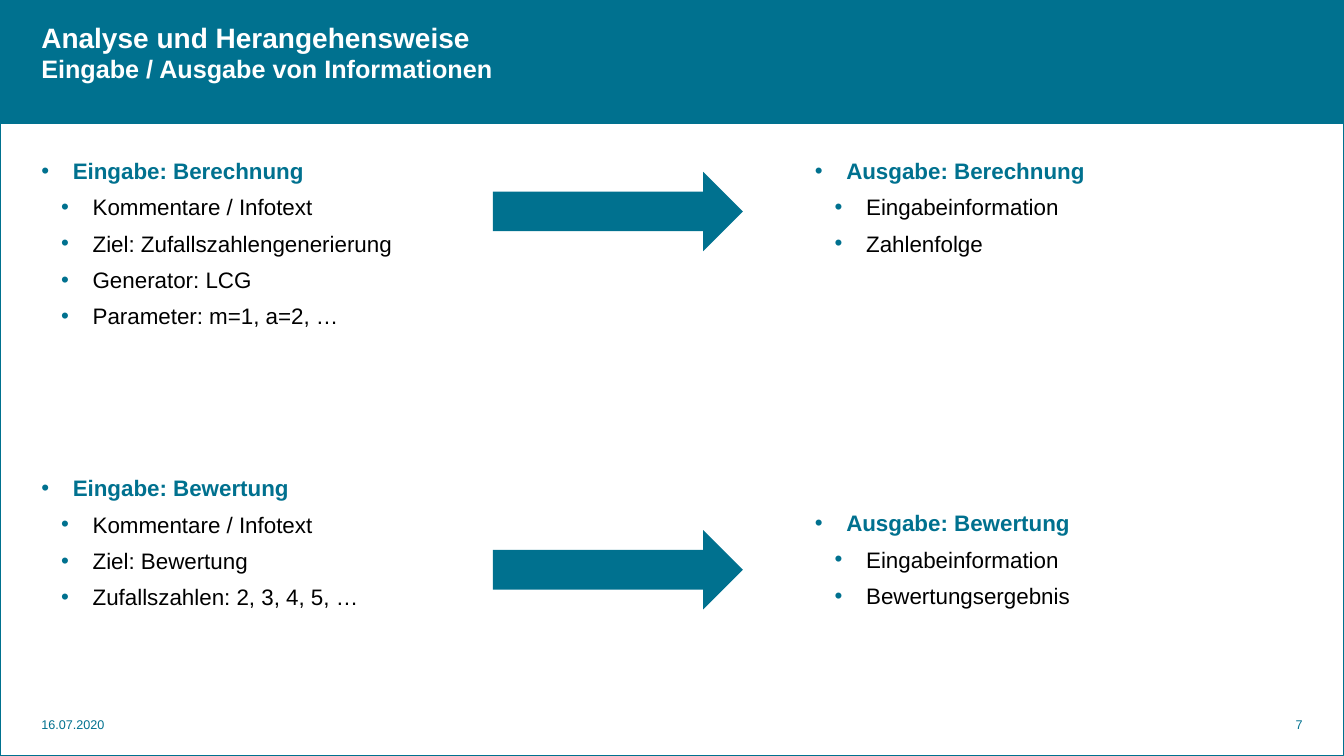
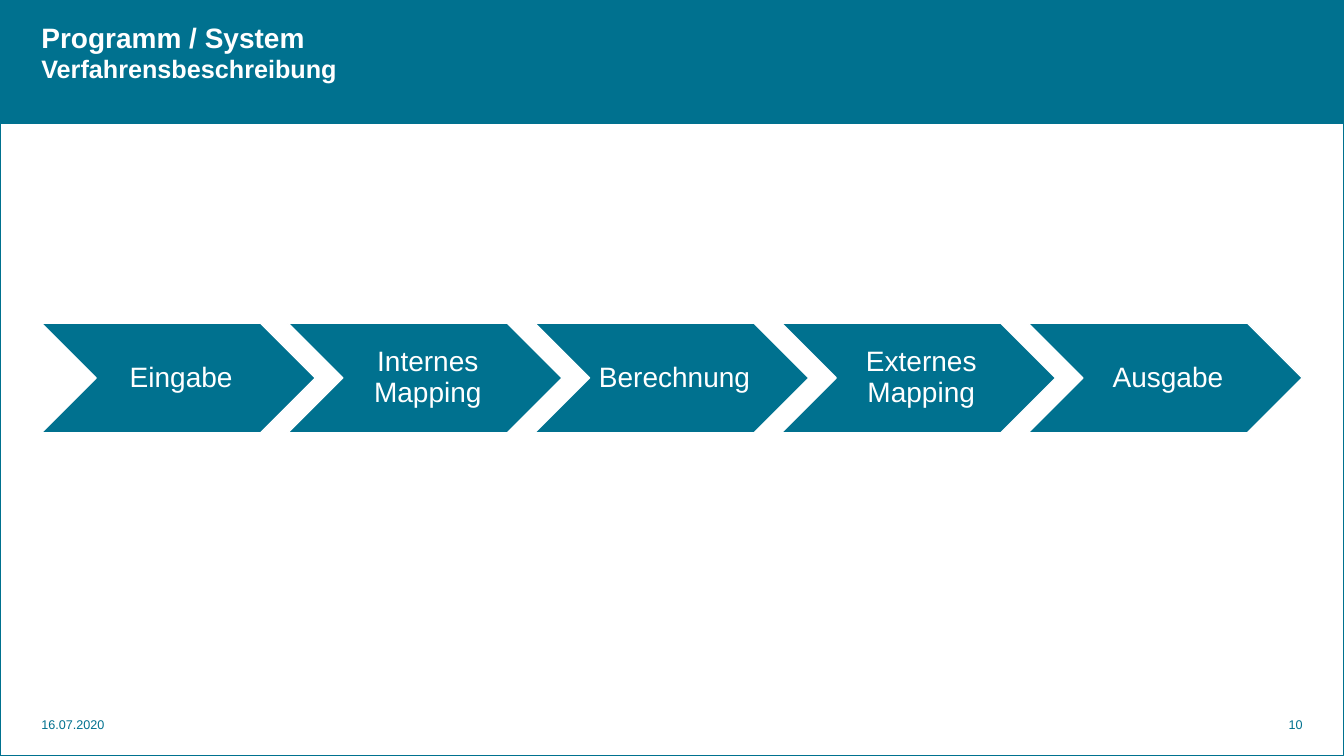
from dataclasses import dataclass

from lxml.etree import SubElement
from pptx import Presentation
from pptx.dml.color import RGBColor
from pptx.enum.shapes import MSO_SHAPE as Preset
from pptx.enum.text import MSO_ANCHOR as Anchor, PP_ALIGN as Align
from pptx.oxml.ns import qn
from pptx.util import Pt


@dataclass(frozen=True)
class Theme:
    font: str = "Arial"
    teal: RGBColor = RGBColor(0x00, 0x71, 0x8F)
    white: RGBColor = RGBColor(0xFF, 0xFF, 0xFF)
    black: RGBColor = RGBColor(0x00, 0x00, 0x00)
    title: int = 20
    subtitle: int = 18
    body: int = 16
    step: int = 20
    footer: int = 9


THEME = Theme()
WIDTH, HEIGHT, BAND_HEIGHT = 960, 540, 88.5
MARGIN = 29.5
DATE = "16.07.2020"

INPUT_OUTPUT = {
    "title": "Analyse und Herangehensweise",
    "subtitle": "Eingabe / Ausgabe von Informationen",
    "number": "7",
}
# Left edge, starting row, heading, items
BULLET_BLOCKS = [
    (MARGIN, 0, "Eingabe: Berechnung",
     ["Kommentare / Infotext", "Ziel: Zufallszahlengenerierung",
      "Generator: LCG", "Parameter: m=1, a=2, …"]),
    (MARGIN, 9, "Eingabe: Bewertung",
     ["Kommentare / Infotext", "Ziel: Bewertung", "Zufallszahlen: 2, 3, 4, 5, …"]),
    (582, 0, "Ausgabe: Berechnung", ["Eingabeinformation", "Zahlenfolge"]),
    (582, 10, "Ausgabe: Bewertung", ["Eingabeinformation", "Bewertungsergebnis"]),
]
BLOCK_TOP, BLOCK_WIDTH = 112.3, 285
ROW_PITCH, ROW_GAP = 25.17, 6.75
HANGING, ITEM_INDENT = 22.5, 14.2
ARROW_LEFT, ARROW_WIDTH, ARROW_HEIGHT = 352, 178.6, 56.6
ARROW_TOPS = [122.7, 378.7]

PROCESS = {
    "title": "Programm / System",
    "subtitle": "Verfahrensbeschreibung",
    "number": "10",
}
STEPS = ["Eingabe", "Internes Mapping", "Berechnung", "Externes Mapping", "Ausgabe"]
STEP_WIDTH, STEP_HEIGHT = 195.8, 78.3
STEP_PITCH = 0.9 * STEP_WIDTH


def set_attributes(target, values):
    for name, value in values.items():
        setattr(target, name, value)


def add_run(paragraph, text, size, color, bold=False):
    run = paragraph.add_run()
    run.text = text
    set_attributes(run.font, {"name": THEME.font, "size": Pt(size), "bold": bold})
    run.font.color.rgb = color


def add_text_frame(slide, left, top, width, height):
    """Add a text box without insets and return its text frame."""
    box = slide.shapes.add_textbox(Pt(left), Pt(top), Pt(width), Pt(height))
    set_attributes(box.text_frame, {
        "word_wrap": True, "margin_left": 0, "margin_top": 0,
        "margin_right": 0, "margin_bottom": 0,
    })
    return box.text_frame


def add_preset(slide, preset, left, top, width, height, fill=None, line=None, line_width=1):
    shape = slide.shapes.add_shape(preset, Pt(left), Pt(top), Pt(width), Pt(height))
    shape.shadow.inherit = False
    if fill is None:
        shape.fill.background()
    else:
        shape.fill.solid()
        shape.fill.fore_color.rgb = fill
    if line is None:
        shape.line.fill.background()
    else:
        shape.line.color.rgb = line
        shape.line.width = Pt(line_width)
    return shape


def add_base_slide(presentation, heading):
    """Add a slide with band, frame, two-line title, date and number."""
    slide = presentation.slides.add_slide(presentation.slide_layouts[6])
    add_preset(slide, Preset.RECTANGLE, 0, 0, WIDTH, BAND_HEIGHT, fill=THEME.teal)
    add_preset(slide, Preset.RECTANGLE, 0, 0, WIDTH, HEIGHT,
               line=THEME.teal, line_width=0.75)

    title = add_text_frame(slide, MARGIN, 14.4, 793.5, 46).paragraphs[0]
    add_run(title, heading["title"], THEME.title, THEME.white, bold=True)
    title.add_line_break()
    add_run(title, heading["subtitle"], THEME.subtitle, THEME.white, bold=True)

    footer_width = 60
    for left, text, alignment in [
        (MARGIN, DATE, Align.LEFT),
        (WIDTH - MARGIN - footer_width, heading["number"], Align.RIGHT),
    ]:
        paragraph = add_text_frame(slide, left, 512, footer_width, 11).paragraphs[0]
        paragraph.alignment = alignment
        add_run(paragraph, text, THEME.footer, THEME.teal)
    return slide


def set_bullet(paragraph, indent):
    properties = paragraph._p.get_or_add_pPr()
    properties.set("marL", str(Pt(indent + HANGING)))
    properties.set("indent", str(-Pt(HANGING)))
    color = SubElement(properties, qn("a:buClr"))
    SubElement(color, qn("a:srgbClr"), val=str(THEME.teal))
    SubElement(properties, qn("a:buFont"), typeface=THEME.font)
    SubElement(properties, qn("a:buChar"), char="•")


def add_bullet_block(slide, left, row, heading, items):
    frame = add_text_frame(slide, left, BLOCK_TOP + row * ROW_PITCH,
                           BLOCK_WIDTH, (len(items) + 1) * ROW_PITCH)
    paragraph = frame.paragraphs[0]
    set_bullet(paragraph, 0)
    add_run(paragraph, heading, THEME.body, THEME.teal, bold=True)
    for item in items:
        paragraph = frame.add_paragraph()
        set_attributes(paragraph, {"level": 1, "space_before": Pt(ROW_GAP)})
        set_bullet(paragraph, ITEM_INDENT)
        add_run(paragraph, item, THEME.body, THEME.black)


def build_input_output(presentation):
    slide = add_base_slide(presentation, INPUT_OUTPUT)
    for block in BULLET_BLOCKS:
        add_bullet_block(slide, *block)
    for top in ARROW_TOPS:
        add_preset(slide, Preset.RIGHT_ARROW, ARROW_LEFT, top,
                   ARROW_WIDTH, ARROW_HEIGHT, fill=THEME.teal)


def build_process(presentation):
    slide = add_base_slide(presentation, PROCESS)
    top = (HEIGHT - STEP_HEIGHT) / 2
    for index, label in enumerate(STEPS):
        chevron = add_preset(slide, Preset.CHEVRON, MARGIN + index * STEP_PITCH, top,
                             STEP_WIDTH, STEP_HEIGHT, fill=THEME.teal, line=THEME.white)
        frame = chevron.text_frame
        set_attributes(frame, {
            "word_wrap": True, "vertical_anchor": Anchor.MIDDLE, "margin_left": Pt(6),
            "margin_top": Pt(2), "margin_right": Pt(2), "margin_bottom": Pt(2),
        })
        paragraph = frame.paragraphs[0]
        set_attributes(paragraph, {"alignment": Align.CENTER, "line_spacing": 0.9})
        add_run(paragraph, label, THEME.step, THEME.white)


def main():
    presentation = Presentation()
    set_attributes(presentation, {"slide_width": Pt(WIDTH), "slide_height": Pt(HEIGHT)})
    build_input_output(presentation)
    build_process(presentation)
    presentation.save("out.pptx")


if __name__ == "__main__":
    main()
